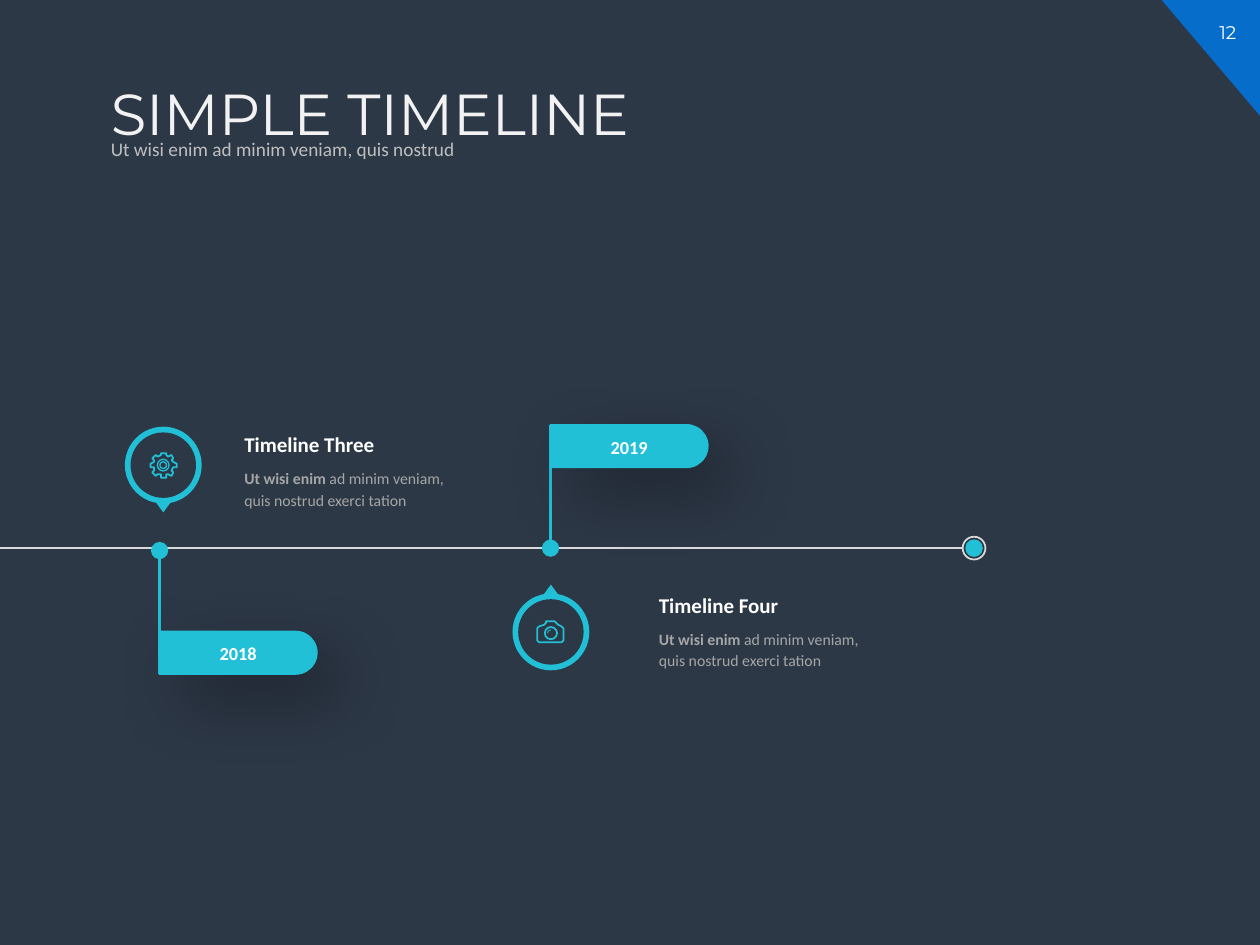
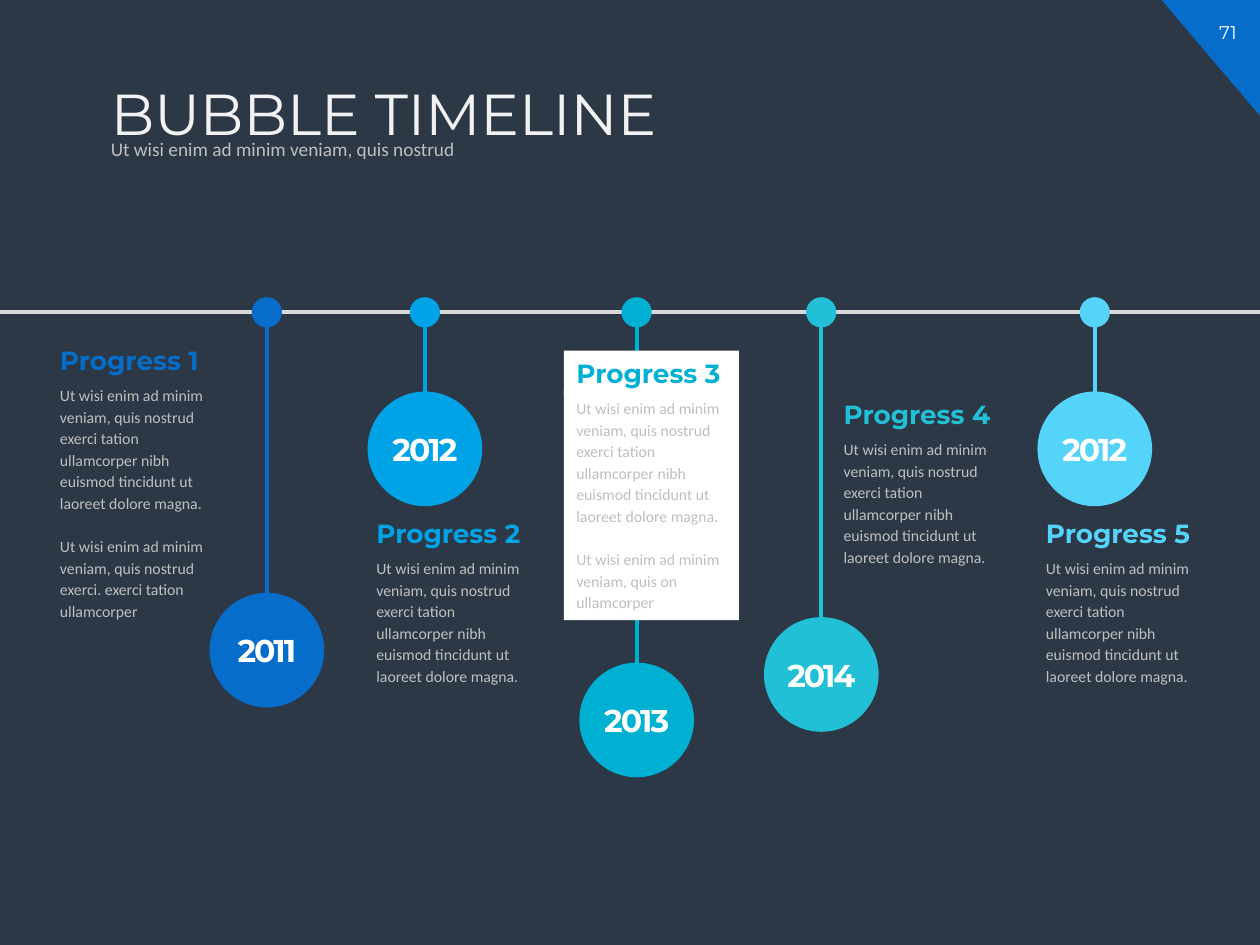
from math import cos, radians, sin

from lxml.etree import SubElement
from pptx import Presentation
from pptx.dml.color import RGBColor
from pptx.enum.shapes import MSO_CONNECTOR, MSO_SHAPE
from pptx.enum.text import MSO_ANCHOR, PP_ALIGN
from pptx.oxml.ns import qn
from pptx.util import Pt

COLORS = {
    "background": "2D3847", "white": "FFFFFF", "title": "F2F2F2",
    "muted": "BFBFBF", "caption": "A6A6A6", "axis": "D9D9D9",
    "blue": "066DCA", "sky": "00A4E6", "teal": "00B0D3",
    "cyan": "21C0D7", "ice": "55D4FA",
}
HEADING_FONT, BODY_FONT = "Montserrat", "Calibri"
SUBTITLE = "Ut wisi enim ad minim veniam, quis nostrud"
BODY_SPACING = 1.14


def rgb(name):
    return RGBColor.from_string(COLORS[name])


class Deck:
    """Holds the shared style and the slide being drawn."""

    def __init__(self):
        self.prs = Presentation()
        self.prs.slide_width, self.prs.slide_height = Pt(720), Pt(540)
        self.slide = None

    def new_slide(self, title, number):
        self.slide = self.prs.slides.add_slide(self.prs.slide_layouts[6])
        background = self.slide.background.fill
        background.solid()
        background.fore_color.rgb = rgb("background")
        corner = self.shape(MSO_SHAPE.RIGHT_TRIANGLE, 663.8, 0, 56.2, 66.2, "blue")
        corner.rotation = 180
        self.text(683.3, 8.6, 36.7, 20, [number], 10.5, "white", HEADING_FONT,
                  align=PP_ALIGN.CENTER)
        self.text(56.2, 45.4, 638, 52.6, [title], 33, "title", HEADING_FONT, spacing=0.9)
        self.text(56.2, 76.3, 519, 18.7, [SUBTITLE], 11, "muted", spacing=0.9,
                  anchor=MSO_ANCHOR.MIDDLE)

    def paint(self, shape, fill=None, line=None, width=1):
        shape.shadow.inherit = False
        if fill:
            shape.fill.solid()
            shape.fill.fore_color.rgb = rgb(fill)
        else:
            shape.fill.background()
        if line:
            shape.line.color.rgb = rgb(line)
            shape.line.width = Pt(width)
        else:
            shape.line.fill.background()
        return shape

    def shape(self, kind, left, top, width, height, fill=None, line=None):
        shape = self.slide.shapes.add_shape(kind, Pt(left), Pt(top), Pt(width), Pt(height))
        return self.paint(shape, fill, line)

    def circle(self, x, y, diameter, fill=None, line=None):
        return self.shape(MSO_SHAPE.OVAL, x - diameter / 2, y - diameter / 2,
                          diameter, diameter, fill, line)

    def outline(self, points, line):
        builder = self.slide.shapes.build_freeform(*points[0], scale=Pt(1))
        builder.add_line_segments(points[1:], close=True)
        return self.paint(builder.convert_to_shape(), line=line)

    def line(self, x1, y1, x2, y2, color, width, dot_end=False):
        line = self.slide.shapes.add_connector(
            MSO_CONNECTOR.STRAIGHT, Pt(x1), Pt(y1), Pt(x2), Pt(y2))
        line.line.color.rgb = rgb(color)
        line.line.width = Pt(width)
        properties = line._element.spPr
        if dot_end:
            SubElement(properties.find(qn("a:ln")), qn("a:tailEnd"),
                       type="oval", w="lg", len="lg")
        SubElement(properties, qn("a:effectLst"))

    def drop_shadow(self, shape):
        effects = shape._element.spPr.find(qn("a:effectLst"))
        shadow = SubElement(effects, qn("a:outerShdw"), blurRad=str(Pt(40)),
                            dist=str(Pt(20)), dir=str(45 * 60000), algn="ctr",
                            rotWithShape="0")
        black = SubElement(shadow, qn("a:srgbClr"), val="000000")
        SubElement(black, qn("a:alpha"), val="40000")

    def set_lines(self, frame, lines, size, color, font=BODY_FONT, bold=False,
                  align=PP_ALIGN.LEFT, spacing=None, gap=0):
        frame.word_wrap = True
        for index, line in enumerate(lines):
            paragraph = frame.add_paragraph() if index else frame.paragraphs[0]
            paragraph.add_run().text = line
            paragraph.alignment = align
            if spacing:
                paragraph.line_spacing = spacing
            if index:
                paragraph.space_before = Pt(gap)
            paragraph.font.size = Pt(size)
            paragraph.font.name = font
            paragraph.font.bold = bold
            paragraph.font.color.rgb = rgb(color)
        return paragraph

    def text(self, left, top, width, height, lines, size, color, font=BODY_FONT,
             anchor=MSO_ANCHOR.TOP, fill=None, **style):
        box = self.slide.shapes.add_textbox(Pt(left), Pt(top), Pt(width), Pt(height))
        if fill:
            box.fill.solid()
            box.fill.fore_color.rgb = rgb(fill)
        box.text_frame.vertical_anchor = anchor
        return self.set_lines(box.text_frame, lines, size, color, font, **style)

    # Simple timeline parts
    def flag(self, year, x, pole_start, axis_y, banner_y):
        length, height = 90.7, 25.2
        self.line(x, pole_start, x, axis_y, "cyan", 1.5, dot_end=True)
        center = x + length / 2 - 0.4
        banner = self.shape(MSO_SHAPE.ROUND_2_SAME_RECTANGLE, center - height / 2,
                            banner_y - length / 2, height, length, "cyan")
        banner.adjustments[0], banner.adjustments[1] = 0.5, 0
        banner.rotation = 90
        self.drop_shadow(banner)
        self.text(center - 33, banner_y - 9.4, 66, 20, [year], 10.5, "white",
                  bold=True, align=PP_ALIGN.CENTER)

    def caption(self, heading, left, top):
        self.text(left, top, 143.3, 21.6, [heading], 12, "white", bold=True)
        body = self.text(left, top + 19.8, 143.3, 33.8, ["Ut wisi enim "], 9, "caption",
                         spacing=BODY_SPACING)
        body.runs[0].font.bold = True
        body.add_run().text = "ad minim veniam, quis nostrud exerci tation"

    def badge(self, x, y, pointing_up):
        self.circle(x, y, 43.9, "cyan")
        pointer_top = y - 27 if pointing_up else y + 21.2
        pointer = self.shape(MSO_SHAPE.ISOSCELES_TRIANGLE, x - 4.3, pointer_top,
                             8.6, 5.8, "cyan")
        pointer.rotation = 0 if pointing_up else 180
        self.circle(x, y, 37.4, "background")

    def camera(self, x, y):
        right = [(2.6, -6.2), (3.2, -5.6), (4, -3.8), (6.6, -3.2), (7.4, -2.4),
                 (7.4, 5.4), (6.6, 6.2)]
        left = [(-dx, dy) for dx, dy in reversed(right)]
        self.outline([(x + dx, y + dy) for dx, dy in right + left], "cyan")
        self.circle(x, y + 0.7, 7, line="cyan")
        glint = self.shape(MSO_SHAPE.ARC, x - 1.9, y - 1.2, 3.8, 3.8, line="cyan")
        glint.line.width = Pt(0.5)
        glint.rotation = 270

    def gear(self, x, y):
        tooth = [(-15, 5.7), (-10, 7.4), (10, 7.4), (15, 5.7)]
        self.outline([(x + radius * cos(radians(angle + turn)),
                       y + radius * sin(radians(angle + turn)))
                      for angle in range(0, 360, 45) for turn, radius in tooth], "cyan")
        for diameter in (6.7, 3.8):
            self.circle(x, y, diameter, line="cyan").line.width = Pt(0.75)

    # Bubble timeline parts
    def milestone(self, year, x, axis_y, bubble_y, color):
        self.circle(x, axis_y, 17.3, color)
        self.line(x, axis_y, x, bubble_y, color, 2.25)
        frame = self.circle(x, bubble_y, 65.5, color).text_frame
        frame.margin_left = frame.margin_right = 0
        frame.vertical_anchor = MSO_ANCHOR.MIDDLE
        label = self.set_lines(frame, [year], 18, "white", HEADING_FONT, bold=True,
                               align=PP_ALIGN.CENTER)
        label.runs[0]._r.get_or_add_rPr().set("spc", "-110")

    def progress(self, heading, left, top, color, lines, height, fill=None):
        self.text(left, top + 22.4, 100, height, lines, 9, "muted", fill=fill,
                  spacing=BODY_SPACING, gap=12.35)
        self.text(left, top, 100, 25.2, [heading], 15, color, HEADING_FONT,
                  fill=fill, bold=True)


def simple_timeline(deck):
    deck.new_slide("SIMPLE TIMELINE", "12")
    axis_y = 313.2
    deck.line(550, axis_y, 0, axis_y, "axis", 1)

    # Years
    deck.flag("2019", 314.6, 242.6, axis_y, 254.9)
    deck.flag("2018", 91.2, 385.2, axis_y + 1.4, 373)

    # Captions
    deck.caption("Timeline Four", 369.4, 334.8)
    deck.caption("Timeline Three", 132.5, 243.2)

    # End of the axis
    deck.circle(556.6, axis_y, 10, "cyan")
    deck.circle(556.6, axis_y, 13, line="axis")

    # Badges with icons
    deck.badge(314.8, 361.1, pointing_up=True)
    deck.camera(314.8, 361.1)
    deck.badge(93.3, 265.8, pointing_up=False)
    deck.gear(93.3, 265.8)


def bubble_timeline(deck):
    deck.new_slide("BUBBLE TIMELINE", "71")
    axis_y = 178.5
    deck.line(0, axis_y, 720, axis_y, "axis", 2.25)

    intro = ("Ut wisi enim ad minim veniam, quis nostrud exerci tation ullamcorper "
             "nibh euismod tincidunt ut laoreet dolore magna.")
    first_end = "Ut wisi enim ad minim veniam, quis nostrud exerci. exerci tation ullamcorper"
    third_end = "Ut wisi enim ad minim veniam, quis on ullamcorper"

    # Year, x, bubble y, colour, text left, text top, paragraphs, text height, card
    milestones = [
        ("2011", 152.5, 371.5, "blue", 27.2, 193, [intro, first_end], 144, None),
        ("2012", 242.8, 256.5, "sky", 208, 291.8, [intro], 82, None),
        ("2013", 363.8, 411.4, "teal", 322.3, 200.4, [intro, third_end], 131.6, "white"),
        ("2014", 469.3, 385.4, "cyan", 475, 223.8, [intro], 94.3, None),
        ("2012", 625.6, 256.5, "ice", 590.6, 291.8, [intro], 82, None),
    ]
    for step, milestone in enumerate(milestones, start=1):
        year, x, bubble_y, color, left, top, lines, height, card = milestone
        deck.milestone(year, x, axis_y, bubble_y, color)
        deck.progress(f"Progress {step}", left, top, color, lines, height, card)


def main():
    deck = Deck()
    simple_timeline(deck)
    bubble_timeline(deck)
    deck.prs.save("out.pptx")


if __name__ == "__main__":
    main()
